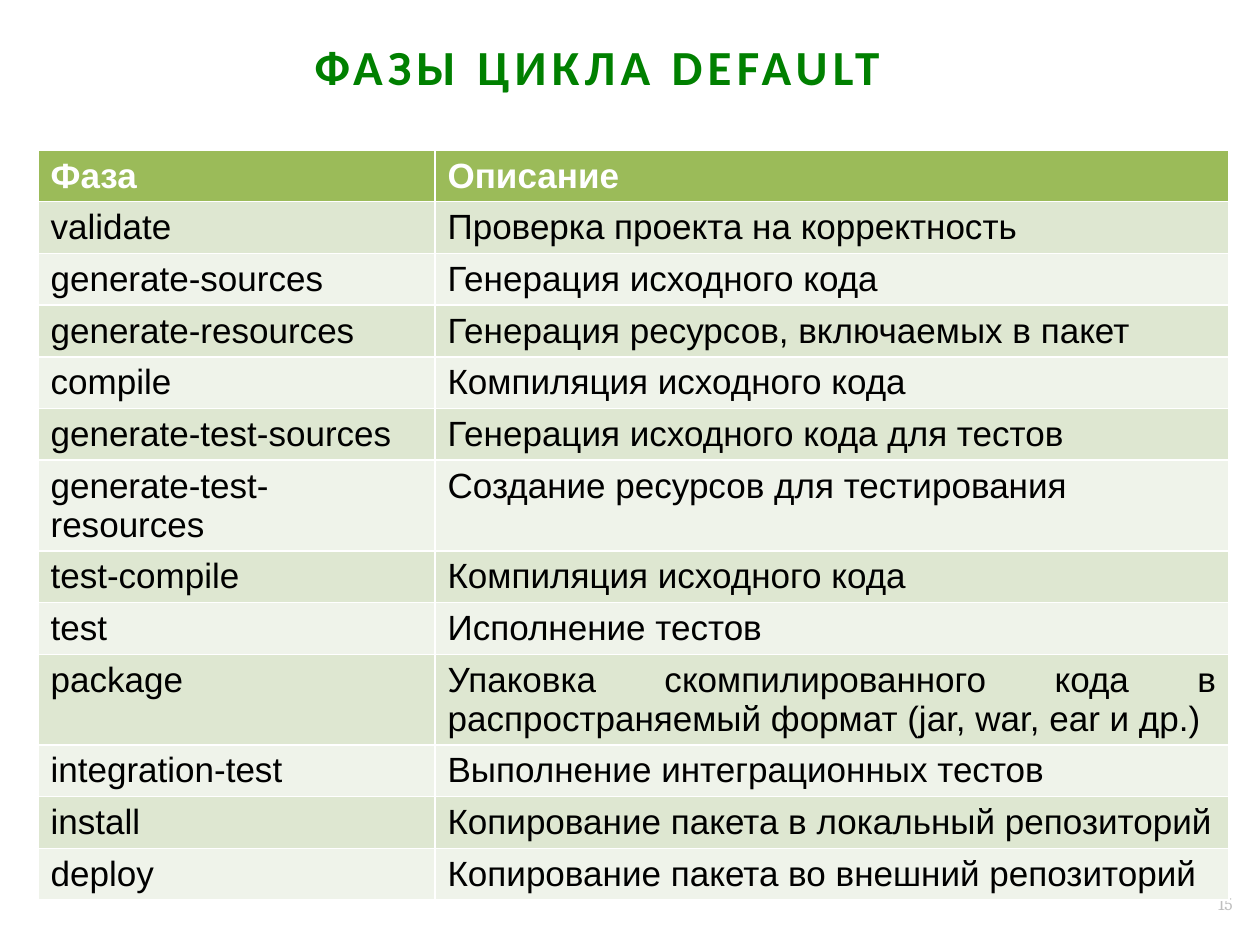
from pptx import Presentation, util as u
from pptx.dml.color import RGBColor
from pptx.enum import text

HEADING = "ФАЗЫ ЦИКЛА DEFAULT"
PAGE_NUMBER = "15"
PHASES = [
    ("Фаза", "Описание"),
    ("validate", "Проверка проекта на корректность"),
    ("generate-sources", "Генерация исходного кода"),
    ("generate-resources", "Генерация ресурсов, включаемых в пакет"),
    ("compile", "Компиляция исходного кода"),
    ("generate-test-sources", "Генерация исходного кода для тестов"),
    ("generate-test-resources", "Создание ресурсов для тестирования"),
    ("test-compile", "Компиляция исходного кода"),
    ("test", "Исполнение тестов"),
    ("package", "Упаковка скомпилированного кода в распространяемый формат (jar, war, ear и др.)"),
    ("integration-test", "Выполнение интеграционных тестов"),
    ("install", "Копирование пакета в локальный репозиторий"),
    ("deploy", "Копирование пакета во внешний репозиторий"),
]

WHITE = RGBColor(0xFF, 0xFF, 0xFF)
BLACK = RGBColor(0x00, 0x00, 0x00)
GREEN = RGBColor(0x00, 0x80, 0x00)
GREY = RGBColor(0xBF, 0xBF, 0xBF)
HEADER_FILL = RGBColor(0x9B, 0xBB, 0x59)
BAND_FILLS = RGBColor(0xEF, 0xF3, 0xEA), RGBColor(0xDE, 0xE7, 0xD1)

TITLE_FONT = {"name": "Calibri", "size": u.Pt(28), "bold": True}
NUMBER_FONT = {"name": "Cambria", "size": u.Pt(10)}
HEADER_FONT = {"name": "Arial", "size": u.Pt(20), "bold": True}
BODY_FONT = {**HEADER_FONT, "bold": False}
FRAME = {"word_wrap": True, "auto_size": text.MSO_AUTO_SIZE.NONE,
         "vertical_anchor": text.MSO_ANCHOR.MIDDLE}

TITLE_AREA = 302, 44, 784, 52
NUMBER_AREA = 951, 879, 294, 50
TABLE_LEFT, TABLE_TOP = 38, 150
COLUMN_WIDTHS = 397, 794
ROW_HEIGHT = 51


def px(length):
    return u.Emu(round(length * 914400 / 126))


def set_all(target, values):
    for name, value in values.items():
        setattr(target, name, value)


def write(frame, words, font, color, align):
    para = frame.paragraphs[0]
    para.alignment = align
    span = para.add_run()
    span.text = words
    set_all(span.font, font)
    span.font.color.rgb = color
    return para, span


def add_title(page):
    box = page.shapes.title
    set_all(box, dict(zip(("left", "top", "width", "height"), map(px, TITLE_AREA))))
    set_all(box.text_frame, FRAME)
    para, span = write(box.text_frame, HEADING, TITLE_FONT, GREEN, text.PP_ALIGN.LEFT)
    para.line_spacing = 0.9
    span.font._element.set("spc", "300")


def add_page_number(page):
    box = page.shapes.add_textbox(*map(px, NUMBER_AREA))
    set_all(box.text_frame, FRAME)
    write(box.text_frame, PAGE_NUMBER, NUMBER_FONT, GREY, text.PP_ALIGN.RIGHT)


def add_phases(page):
    table = page.shapes.add_table(
        len(PHASES), len(COLUMN_WIDTHS), px(TABLE_LEFT), px(TABLE_TOP),
        px(sum(COLUMN_WIDTHS)), px(ROW_HEIGHT * len(PHASES))).table
    for column, width in zip(table.columns, COLUMN_WIDTHS):
        column.width = px(width)
    for r, phase in enumerate(PHASES):
        for c, words in enumerate(phase):
            cell = table.cell(r, c)
            cell.fill.solid()
            cell.fill.fore_color.rgb = BAND_FILLS[r % 2] if r else HEADER_FILL
            align = text.PP_ALIGN.JUSTIFY if r and c else text.PP_ALIGN.LEFT
            font, color = (BODY_FONT, BLACK) if r else (HEADER_FONT, WHITE)
            write(cell.text_frame, words, font, color, align)


def main():
    deck = Presentation()
    deck.slide_width, deck.slide_height = px(1260), px(945)
    page = deck.slides.add_slide(deck.slide_layouts[5])
    add_page_number(page)
    add_title(page)
    add_phases(page)
    deck.save("out.pptx")


if __name__ == "__main__":
    main()
